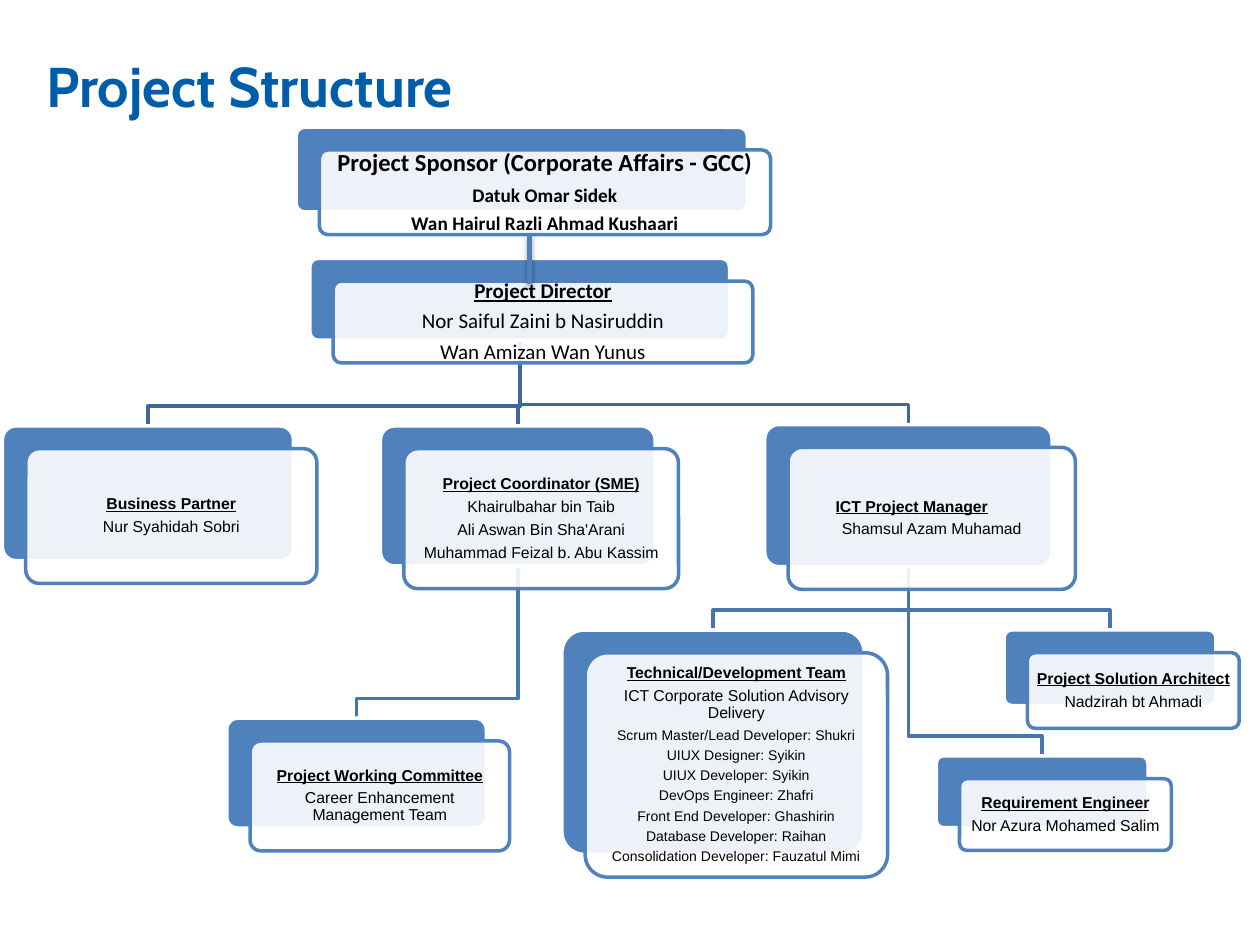
from dataclasses import dataclass

from lxml.etree import SubElement
from pptx import Presentation
from pptx.dml.color import RGBColor
from pptx.enum.shapes import MSO_CONNECTOR, MSO_SHAPE
from pptx.enum.text import MSO_ANCHOR, PP_ALIGN
from pptx.oxml.ns import qn
from pptx.util import Pt


@dataclass(frozen=True)
class TextStyle:
    font: str
    heading: float
    body: float
    detail: float
    margin: float
    underline: bool = True
    bold_body: bool = False


class Theme:
    title = RGBColor(0x00, 0x5D, 0xAA)
    box = RGBColor(0x4F, 0x81, 0xBD)
    upper_link = RGBColor(0x3F, 0x67, 0x97)
    lower_link = RGBColor(0x48, 0x75, 0xAC)
    white = RGBColor(0xFF, 0xFF, 0xFF)
    black = RGBColor(0, 0, 0)
    title_font, title_size = "Cabin", 32
    sponsor = TextStyle("Calibri", 14, 11, 11, 4, underline=False, bold_body=True)
    director = TextStyle("Calibri", 12, 12, 12, 3.6)
    unit = TextStyle("Arial", 9, 9, 8, 2.8)


OFFSET_X, OFFSET_Y = 13.3, 13   # front card relative to its back card
LINK_DROP = 11.3                # last vertical leg of a link

# key: left, top, width, height of the back card, style, heading, body, details
BOXES = {
    "director": (177.1, 147.6, 239.8, 46.8, Theme.director, "Project Director",
                 ["Nor Saiful Zaini b Nasiruddin", "Wan Amizan Wan Yunus"], []),
    "coordinator": (217.4, 243.4, 157, 80, Theme.unit, "Project Coordinator (SME)",
                    ["Khairulbahar bin Taib", "Ali Aswan Bin Sha'Arani",
                     "Muhammad Feizal b. Abu Kassim"], []),
    "committee": (129.6, 410.4, 148.3, 62.8, Theme.unit, "Project Working Committee",
                  ["Career Enhancement Management Team"], []),
    "partner": (1.4, 243.4, 166.3, 77, Theme.unit, "Business Partner",
                ["Nur Syahidah Sobri"], []),
    "manager": (437, 242.6, 164.2, 81.2, Theme.unit, "ICT Project Manager",
                ["Shamsul Azam Muhamad"], []),
    "team": (321.1, 360, 172.8, 128.2, Theme.unit, "Technical/Development Team",
             ["ICT Corporate Solution Advisory Delivery"],
             ["Scrum Master/Lead Developer: Shukri", "UIUX Designer: Syikin",
              "UIUX Developer: Syikin", "DevOps Engineer: Zhafri",
              "Front End Developer: Ghashirin", "Database Developer: Raihan",
              "Consolidation Developer: Fauzatul Mimi"]),
    "engineer": (535, 432, 121, 41, Theme.unit, "Requirement Engineer",
                 ["Nor Azura Mohamed Salim"], []),
    "architect": (573.8, 360, 121, 43.2, Theme.unit, "Project Solution Architect",
                  ["Nadzirah bt Ahmadi"], []),
    "sponsor": (169.2, 72.7, 257.8, 48.4, Theme.sponsor,
                "Project Sponsor (Corporate Affairs - GCC)",
                ["Datuk Omar Sidek", "Wan Hairul Razli Ahmad Kushaari"], []),
}
LINKS = [
    ("manager", "architect"), ("manager", "engineer"), ("manager", "team"),
    ("director", "manager"), ("director", "partner"),
    ("coordinator", "committee"), ("director", "coordinator"),
]
HEADING_INDENTS = {"manager": 22}


def add_card(shapes, left, top, width, height, fill, line):
    sp = shapes.add_shape(MSO_SHAPE.ROUNDED_RECTANGLE,
                          Pt(left), Pt(top), Pt(width), Pt(height))
    sp.adjustments[0] = 0.1
    sp.shadow.inherit = False
    sp.fill.solid()
    sp.fill.fore_color.rgb = fill
    sp.line.color.rgb = line
    sp.line.width = Pt(2)
    return sp


prs = Presentation()
prs.slide_width, prs.slide_height = Pt(720), Pt(540)
s = prs.slides.add_slide(prs.slide_layouts[6])

# Title
tf = s.shapes.add_textbox(Pt(19.4), Pt(3.6), Pt(648), Pt(90)).text_frame
tf.word_wrap = True
tf.vertical_anchor = MSO_ANCHOR.MIDDLE
p = tf.paragraphs[0]
p.text = "Project Structure"
p.font.name, p.font.size, p.font.bold = Theme.title_font, Pt(Theme.title_size), True
p.font.color.rgb = Theme.title

# Links run from the bottom centre of the parent to the top centre of the child
for parent, child in LINKS:
    left, top, width, height = BOXES[parent][:4]
    start_x, start_y = left + width / 2, top + height
    left, end_y, width = BOXES[child][:3]
    end_x, bend_y = left + width / 2, end_y - LINK_DROP
    builder = s.shapes.build_freeform(Pt(start_x), Pt(start_y))
    builder.add_line_segments(
        [(Pt(start_x), Pt(bend_y)), (Pt(end_x), Pt(bend_y)), (Pt(end_x), Pt(end_y))],
        close=False)
    sp = builder.convert_to_shape()
    sp.shadow.inherit = False
    sp.fill.background()
    sp.line.width = Pt(2)
    sp.line.color.rgb = Theme.upper_link if parent == "director" else Theme.lower_link

# Boxes: a solid back card and a translucent front card with the text
for key, (left, top, width, height, style, heading, body, details) in BOXES.items():
    add_card(s.shapes, left, top, width, height, Theme.box, Theme.white)
    sp = add_card(s.shapes, left + OFFSET_X, top + OFFSET_Y, width, height,
                  Theme.white, Theme.box)
    color = sp.fill._xPr.find(qn("a:solidFill")).find(qn("a:srgbClr"))
    SubElement(color, qn("a:alpha"), val="90000")

    tf = sp.text_frame
    tf.word_wrap = True
    tf.vertical_anchor = MSO_ANCHOR.MIDDLE
    tf.margin_left = tf.margin_right = Pt(style.margin)
    tf.margin_top = tf.margin_bottom = Pt(style.margin)
    lines = [(heading, style.heading)]
    lines += [(text, style.body) for text in body]
    lines += [(text, style.detail) for text in details]
    for i, (text, size) in enumerate(lines):
        p = tf.add_paragraph() if i else tf.paragraphs[0]
        p.text = text
        p.alignment = PP_ALIGN.CENTER
        p.line_spacing = 0.9
        p.space_after = Pt(round(size * 0.37, 2))
        p.font.name, p.font.size = style.font, Pt(size)
        p.font.bold = i == 0 or style.bold_body
        p.font.underline = i == 0 and style.underline
        p.font.color.rgb = Theme.black
    if key in HEADING_INDENTS:
        p = tf.paragraphs[0]
        p.alignment = PP_ALIGN.LEFT
        p._p.get_or_add_pPr().set("marL", str(Pt(HEADING_INDENTS[key])))

# Sponsor to director
line = s.shapes.add_connector(MSO_CONNECTOR.STRAIGHT,
                              Pt(302.4), Pt(133.9), Pt(302.4), Pt(162))
line.line.color.rgb = Theme.box
line.line.width = Pt(3)
effects = SubElement(line._element.spPr, qn("a:effectLst"))
shadow = SubElement(effects, qn("a:outerShdw"), blurRad=str(Pt(3.1)),
                    dist=str(Pt(1.8)), dir="5400000", rotWithShape="0")
color = SubElement(shadow, qn("a:srgbClr"), val=str(Theme.black))
SubElement(color, qn("a:alpha"), val="35000")

prs.save("out.pptx")
